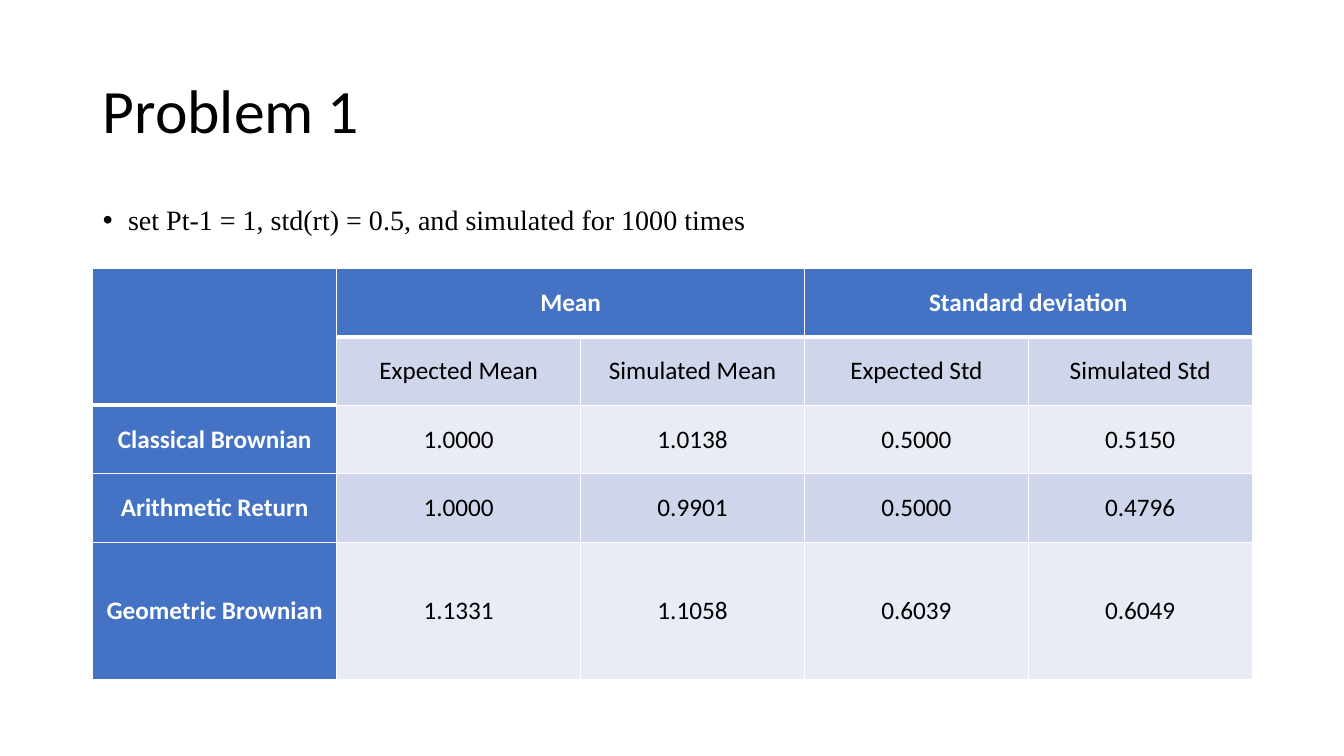
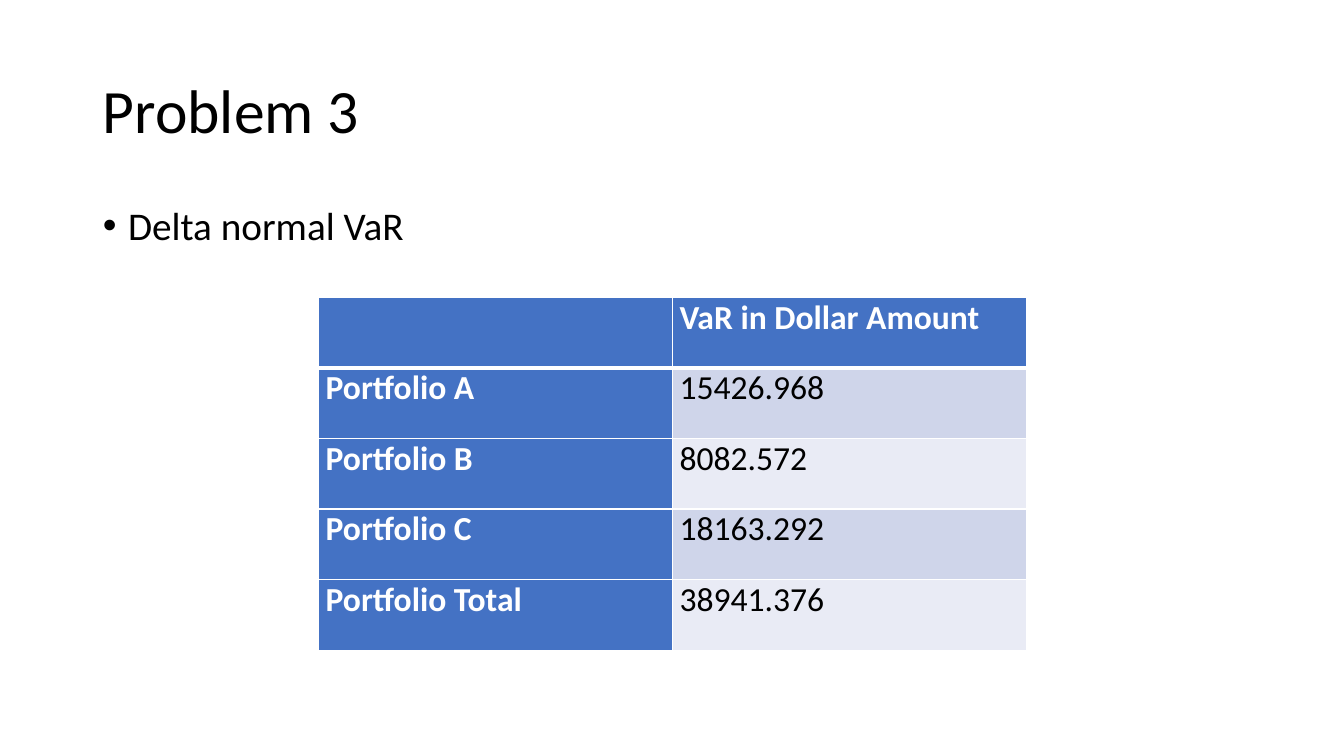
"""Build two slides of simulation and value-at-risk results."""
from lxml.etree import SubElement
from pptx import Presentation
from pptx.dml.color import RGBColor
from pptx.enum.text import MSO_ANCHOR, MSO_AUTO_SIZE, PP_ALIGN
from pptx.oxml.ns import qn
from pptx.util import Inches, Pt

COLORS = {
    "text": "000000",
    "header": "4472C4",
    "header_text": "FFFFFF",
    "border": "FFFFFF",
    "odd_band": "CFD5EA",
    "even_band": "E9EBF5",
}
FONT = "Calibri"

PROBLEMS = [
    {
        "title": "Problem 1",
        "bullet": "set Pt-1 = 1, std(rt) = 0.5, and simulated for 1000 times",
        "bullet_font": "Times New Roman",
        "bullet_size": 20,
        "position": (0.92, 2.66),
        "widths": [2.42, 2.42, 2.22, 2.22, 2.22],
        "heights": [0.68, 0.68, 0.68, 0.68, 1.36],
        "rows": [
            ["", "Mean", "", "Standard deviation", ""],
            ["", "Expected Mean", "Simulated Mean", "Expected Std", "Simulated Std"],
            ["Classical Brownian", "1.0000", "1.0138", "0.5000", "0.5150"],
            ["Arithmetic Return", "1.0000", "0.9901", "0.5000", "0.4796"],
            ["Geometric Brownian", "1.1331", "1.1058", "0.6039", "0.6049"],
        ],
        "merges": [((0, 0), (1, 0)), ((0, 1), (0, 2)), ((0, 3), (0, 4))],
        "last_header_row": [1, 0, 0, 0, 0],
        "text_size": 18,
        "alignment": PP_ALIGN.CENTER,
        "anchor": MSO_ANCHOR.MIDDLE,
    },
    {
        "title": "Problem 3",
        "bullet": "Delta normal VaR",
        "bullet_font": FONT,
        "bullet_size": 28,
        "position": (3.16, 2.95),
        "widths": [3.51] * 2,
        "heights": [0.7] * 5,
        "rows": [
            ["", "VaR in Dollar Amount"],
            ["Portfolio A", "15426.968"],
            ["Portfolio B", "8082.572"],
            ["Portfolio C", "18163.292"],
            ["Portfolio Total", "38941.376"],
        ],
        "merges": [],
        "last_header_row": [0, 0],
        "text_size": 24,
        "alignment": PP_ALIGN.LEFT,
        "anchor": MSO_ANCHOR.TOP,
    },
]


def write_text(paragraph, text, size, color="text", font=FONT, bold=False):
    run = paragraph.add_run()
    run.text = text
    run.font.name = font
    run.font.size = Pt(size)
    run.font.bold = bold
    run.font.color.rgb = RGBColor.from_string(COLORS[color])


def add_borders(cell, top, bottom):
    properties = cell._tc.get_or_add_tcPr()
    for tag, width in (("lnL", 1), ("lnR", 1), ("lnT", top), ("lnB", bottom)):
        line = SubElement(properties, qn(f"a:{tag}"), w=str(Pt(width)))
        fill = SubElement(line, qn("a:solidFill"))
        SubElement(fill, qn("a:srgbClr"), val=COLORS["border"])


presentation = Presentation()
presentation.slide_width = Inches(13.33)
presentation.slide_height = Inches(7.5)

for problem in PROBLEMS:
    slide = presentation.slides.add_slide(presentation.slide_layouts[1])
    title, body = slide.shapes.title, slide.placeholders[1]
    for placeholder, top, height in ((title, 0.4, 1.45), (body, 2, 4.76)):
        placeholder.left, placeholder.top = Inches(0.92), Inches(top)
        placeholder.width, placeholder.height = Inches(11.5), Inches(height)
        placeholder.text_frame.auto_size = MSO_AUTO_SIZE.NONE
        placeholder.text_frame.paragraphs[0].line_spacing = 0.9

    title.text_frame.vertical_anchor = MSO_ANCHOR.MIDDLE
    paragraph = title.text_frame.paragraphs[0]
    paragraph.alignment = PP_ALIGN.LEFT
    write_text(paragraph, problem["title"], 44)

    paragraph = body.text_frame.paragraphs[0]
    paragraph.space_before = Pt(10)
    indents = paragraph._p.get_or_add_pPr()
    indents.set("marL", str(Inches(0.25)))
    indents.set("indent", str(Inches(-0.25)))
    write_text(paragraph, problem["bullet"], problem["bullet_size"],
               font=problem["bullet_font"])

    left, top = problem["position"]
    widths, heights = problem["widths"], problem["heights"]
    table = slide.shapes.add_table(
        len(heights), len(widths), Inches(left), Inches(top),
        Inches(sum(widths)), Inches(sum(heights))).table
    table.first_col = True
    for column, width in zip(table.columns, widths):
        column.width = Inches(width)
    for row, height in zip(table.rows, heights):
        row.height = Inches(height)
    for first, last in problem["merges"]:
        table.cell(*first).merge(table.cell(*last))

    for row_index, row_texts in enumerate(problem["rows"]):
        band = "odd_band" if row_index % 2 else "even_band"
        for column_index, text in enumerate(row_texts):
            cell = table.cell(row_index, column_index)
            is_header = row_index == 0 or column_index == 0
            last_header = problem["last_header_row"][column_index]
            add_borders(cell,
                        top=3 if row_index == last_header + 1 else 1,
                        bottom=3 if row_index <= last_header else 1)
            cell.fill.solid()
            cell.fill.fore_color.rgb = RGBColor.from_string(
                COLORS["header" if is_header else band])
            cell.margin_left = cell.margin_right = Inches(0.07)
            cell.margin_top = cell.margin_bottom = 0
            cell.vertical_anchor = problem["anchor"]
            if text:
                paragraph = cell.text_frame.paragraphs[0]
                paragraph.alignment = problem["alignment"]
                write_text(paragraph, text, problem["text_size"],
                           "header_text" if is_header else "text", bold=is_header)

presentation.save("out.pptx")
